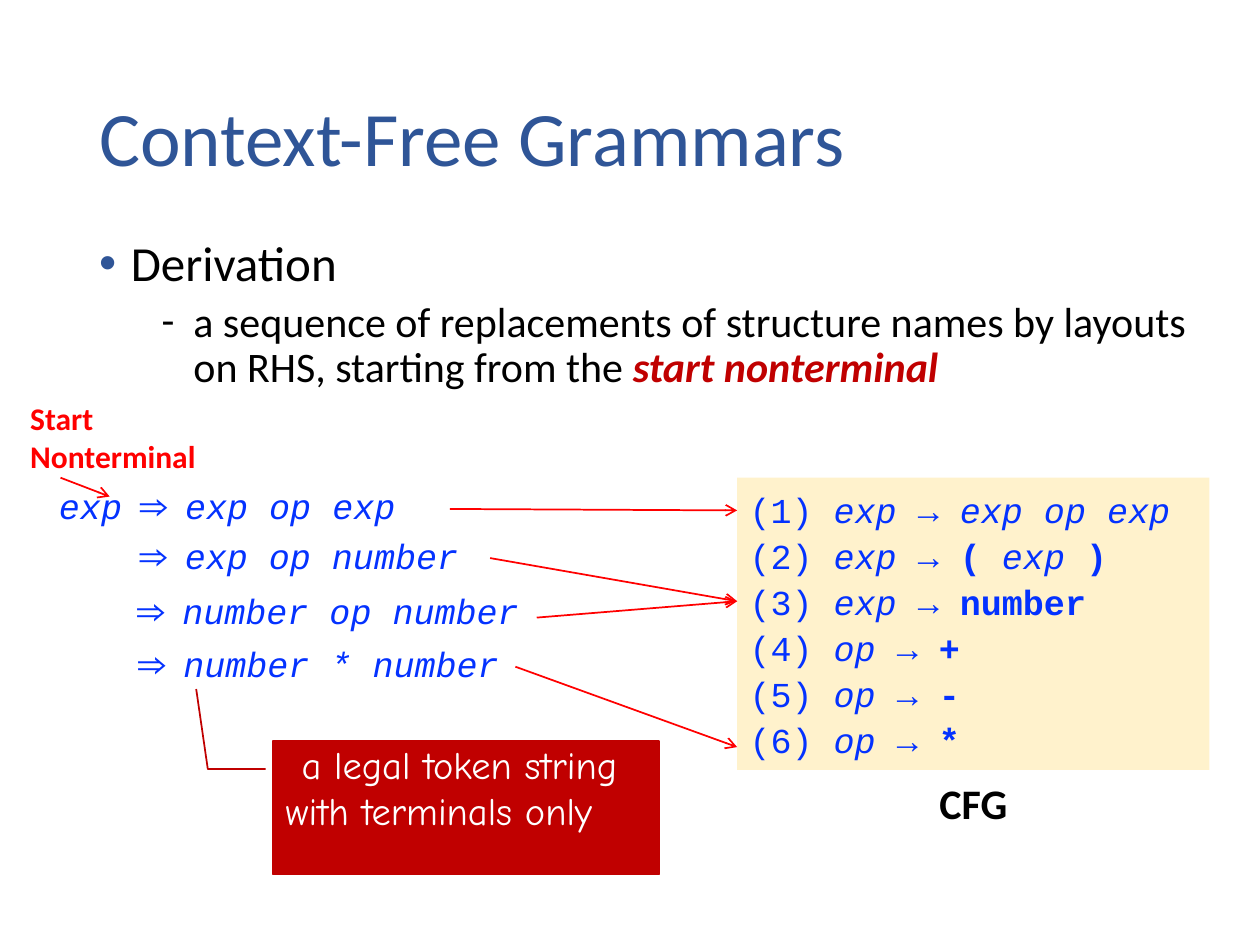
from pptx import Presentation
from pptx.util import Cm, Pt
from pptx.dml.color import RGBColor
from pptx.enum.shapes import MSO_SHAPE, MSO_CONNECTOR
from pptx.enum.text import MSO_ANCHOR
from lxml.etree import SubElement
from pptx.oxml.ns import qn

NAVY = RGBColor(0x2F, 0x55, 0x97)
BLUE = RGBColor(0x04, 0x32, 0xFF)
RED = RGBColor(0xFF, 0, 0)
DARK = RGBColor(0xC0, 0, 0)
CREAM = RGBColor(0xFF, 0xF2, 0xCC)
BLACK = RGBColor(0, 0, 0)
WHITE = RGBColor(0xFF, 0xFF, 0xFF)

deck = Presentation()
deck.slide_width, deck.slide_height = Cm(25.4), Cm(19.05)
slide = deck.slides.add_slide(deck.slide_layouts[6])
shapes = slide.shapes


def add_box(left, top, width, height, wrap=True):
    box = shapes.add_textbox(Cm(left), Cm(top), Cm(width), Cm(height))
    box.text_frame.word_wrap = wrap
    return box


def write(frame, lines, font, size, color, space=1.0):
    for n, line in enumerate(lines):
        para = frame.paragraphs[0] if n == 0 else frame.add_paragraph()
        para.line_spacing = space
        for text, style in line:
            run = para.add_run()
            run.text = text
            run.font.name = font
            run.font.size = Pt(size)
            run.font.color.rgb = color
            run.font.bold = "b" in style
            run.font.italic = "i" in style


rules = [
    ("exp", [("exp op exp", "i")]),
    ("exp", [("(", "b"), (" exp ", "i"), (")", "b")]),
    ("exp", [("number", "b")]),
    ("op", [("+", "b")]),
    ("op", [("-", "b")]),
    ("op", [("*", "b")]),
]
lines = [
    [(f"({n}) ", ""), (f"{name} ", "i"), ("→ ", "")] + right
    for n, (name, right) in enumerate(rules, 1)
]
panel = add_box(14.86, 9.63, 9.52, 5.89)
panel.fill.solid()
panel.fill.fore_color.rgb = CREAM
write(panel.text_frame, lines, "Courier New", 20, BLUE, 1.1)

title = add_box(1.75, 1.02, 21.89, 3.68)
title.text_frame.vertical_anchor = MSO_ANCHOR.MIDDLE
write(title.text_frame, [[("Context-Free Grammars", "")]], "Calibri", 44, NAVY, 0.9)

body = add_box(1.75, 4.7, 22.66, 3.71)
detail = "a sequence of replacements of structure names by layouts on RHS, starting from the "
write(body.text_frame, [[("Derivation", "")], [(detail, ""), ("start nonterminal", "bi")]],
      "Calibri", 28, BLACK, 0.9)
looks = [(0.64, 10, 28, "•", NAVY), (1.9, 5, 24, "-", BLACK)]
for para, (left, gap, size, mark, color) in zip(body.text_frame.paragraphs, looks):
    para.space_before = Pt(gap)
    for run in para.runs:
        run.font.size = Pt(size)
    props = para._p.get_or_add_pPr()
    props.set("marL", str(Cm(left)))
    props.set("indent", str(-Cm(0.64)))
    tint = SubElement(props, qn("a:buClr"))
    SubElement(tint, qn("a:srgbClr")).set("val", str(color))
    SubElement(props, qn("a:buFont")).set("typeface", "Arial" if mark == "•" else "Calibri")
    SubElement(props, qn("a:buChar")).set("char", mark)
body.text_frame.paragraphs[1].runs[1].font.color.rgb = DARK

steps = [
    (0.94, 9.55, "exp ⇒ exp op exp"),
    (2.63, 10.57, "⇒ exp op number"),
    (2.58, 11.68, "⇒ number op number"),
    (2.6, 12.75, "⇒ number * number"),
]
for left, top, text in steps:
    step = add_box(left, top, 10.2, 1.19)
    write(step.text_frame, [[(text, "i")]], "Courier New", 20, BLUE, 1.1)

label = add_box(18.69, 15.54, 1.9, 1.27, False)
write(label.text_frame, [[("CFG", "b")]], "Calibri", 24, BLACK)
start = add_box(0.36, 7.92, 3.89, 1.8, False)
write(start.text_frame, [[("Start", "b")], [("Nonterminal", "b")]], "Calibri", 18, RED)

arrows = [
    (9.07, 10.26, 14.86, 10.29),
    (9.88, 11.25, 14.86, 12.12),
    (10.82, 12.45, 14.86, 12.12),
    (10.39, 13.44, 14.86, 15.06),
    (1.22, 9.63, 2.21, 10.01),
]
for ends in arrows:
    arrow = shapes.add_connector(MSO_CONNECTOR.STRAIGHT, *map(Cm, ends))
    arrow.line.color.rgb = RED
    arrow.line.width = Pt(1)
    SubElement(arrow.line._get_or_add_ln(), qn("a:tailEnd")).set("type", "arrow")
    SubElement(arrow._element.spPr, qn("a:effectLst"))

note = shapes.add_shape(MSO_SHAPE.LINE_CALLOUT_2, Cm(5.51), Cm(14.94), Cm(7.77), Cm(2.69))
for n, value in enumerate([0.21, -0.02, 0.21, -0.17, -0.39, -0.2]):
    note.adjustments[n] = value
note.shadow.inherit = False
note.fill.solid()
note.fill.fore_color.rgb = DARK
note.line.color.rgb = DARK
note.line.width = Pt(1)
frame = note.text_frame
frame.word_wrap = True
frame.vertical_anchor = MSO_ANCHOR.TOP
frame.margin_top = Cm(0)
write(frame, [[("a legal token string", "")], [("with terminals only", "")]],
      "Comic Neue", 22, WHITE)
for para, left in zip(frame.paragraphs, (0.32, 0)):
    props = para._p.get_or_add_pPr()
    props.set("algn", "l")
    props.set("marL", str(Cm(left)))

deck.save("out.pptx")
